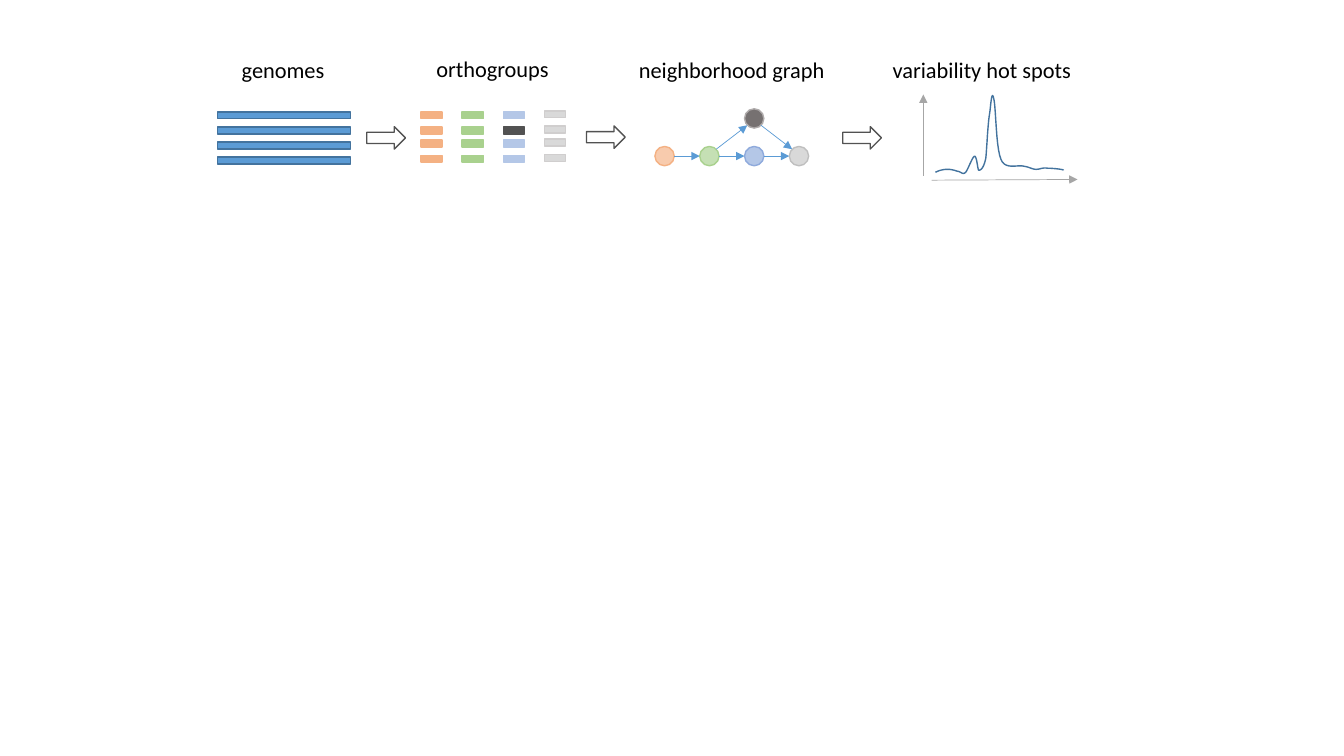
import pptx
import pptx.util
import pptx.dml.color
import pptx.enum.shapes
import pptx.enum.text
import pptx.oxml
import pptx.oxml.ns

Pt = pptx.util.Pt
Shape = pptx.enum.shapes.MSO_SHAPE

COLORS = {
    "text": "000000", "white": "FFFFFF", "dark": "525252",
    "blue": "5B9BD5", "navy": "43739E", "axis": "A6A6A6",
    "orange": "F4B183", "green": "A9D18E", "periwinkle": "B4C7E7",
    "gray": "D9D9D9", "gray_line": "D0CECE",
    "orange_light": "F8CBAD", "green_light": "C5E0B4",
    "periwinkle_line": "8FAADC", "gray_edge": "BFBFBF",
    "charcoal": "767171", "charcoal_line": "AFABAB",
}

HOT_SPOT_START = (668.2, 123.1)
HOT_SPOT_CURVES = [
    ((671, 121.7), (673.9, 121), (676.8, 121)),
    ((679.7, 121), (681.8, 121.7), (684, 122.4)),
    ((686.2, 122.4), (687.6, 125.3), (689.8, 123.1)),
    ((691.2, 121.7), (694.8, 111.6), (696.2, 111.6)),
    ((697.7, 111.6), (698.4, 121), (699.1, 121.7)),
    ((700.6, 121.7), (702.7, 120.2), (704.2, 113)),
    ((704.9, 106.6), (705.6, 87.8), (707, 80.6)),
    ((707.8, 74.2), (708.5, 63.5), (709.9, 70.6)),
    ((711.4, 76.3), (711.4, 105.8), (715, 113.8)),
    ((717.8, 121.7), (727.2, 117.4), (731.5, 118.8)),
    ((735.8, 119.5), (737.3, 121), (740.2, 121)),
    ((743, 121), (745.2, 119.5), (748.1, 120.2)),
    ((751.7, 120.2), (760.3, 121), (759.6, 121.7)),
]


def color(name):
    return pptx.dml.color.RGBColor.from_string(COLORS[name])


def curve_points(start, curves, steps=10):
    for first, second, end in curves:
        for step in range(1, steps + 1):
            t = step / steps
            weights = ((1 - t) ** 3, 3 * t * (1 - t) ** 2, 3 * t * t * (1 - t), t ** 3)
            corners = (start, first, second, end)
            yield tuple(sum(w * corner[axis] for w, corner in zip(weights, corners))
                        for axis in (0, 1))
        start = end


class Diagram:
    font = "Calibri"
    font_size = 16

    def __init__(self, slide):
        self.slide = slide
        self.shapes = slide.shapes

    def start_group(self):
        self.shapes = self.slide.shapes.add_group_shape().shapes

    def end_group(self):
        self.shapes = self.slide.shapes

    def label(self, text, left, top, width, wrap=False):
        box = self.shapes.add_textbox(Pt(left), Pt(top), Pt(width), Pt(26.6))
        frame = box.text_frame
        frame.text = text
        frame.word_wrap = wrap
        frame.auto_size = pptx.enum.text.MSO_AUTO_SIZE.SHAPE_TO_FIT_TEXT
        paragraph = frame.paragraphs[0]
        if wrap:
            paragraph.alignment = pptx.enum.text.PP_ALIGN.CENTER
        font = paragraph.runs[0].font
        font.name = self.font
        font.size = Pt(self.font_size)
        font.color.rgb = color("text")

    def shape(self, kind, left, top, width, height, fill, line):
        shape = self.shapes.add_shape(kind, Pt(left), Pt(top), Pt(width), Pt(height))
        shape.shadow.inherit = False
        shape.fill.solid()
        shape.fill.fore_color.rgb = color(fill)
        shape.line.color.rgb = color(line)
        shape.line.width = Pt(1)

    def step_arrow(self, left, top):
        self.shape(Shape.RIGHT_ARROW, left, top, 27.6, 16, "white", "dark")

    def node(self, center, radius, fill, line):
        x, y = center
        self.shape(Shape.OVAL, x - radius, y - radius, 2 * radius, 2 * radius, fill, line)

    def arrow(self, begin, end, line):
        connector = self.shapes.add_connector(
            pptx.enum.shapes.MSO_CONNECTOR.STRAIGHT, *map(Pt, begin + end))
        connector.line.color.rgb = color(line)
        connector.line.width = Pt(0.5)
        namespace = pptx.oxml.ns.nsdecls("a")
        connector.line._get_or_add_ln().append(
            pptx.oxml.parse_xml(f'<a:tailEnd {namespace} type="triangle"/>'))
        connector._element.spPr.append(pptx.oxml.parse_xml(f"<a:effectLst {namespace}/>"))

    def curve(self, start, curves, line):
        builder = self.shapes.build_freeform(Pt(start[0]), Pt(start[1]))
        builder.add_line_segments(
            [(Pt(x), Pt(y)) for x, y in curve_points(start, curves)], close=False)
        shape = builder.convert_to_shape()
        shape.shadow.inherit = False
        shape.fill.background()
        shape.line.color.rgb = color(line)
        shape.line.width = Pt(1)


def draw_genomes(diagram):
    for row in range(4):
        diagram.shape(Shape.RECTANGLE, 155.5, 79.9 + 10.75 * row, 95, 5, "blue", "navy")
    diagram.label("genomes", 165.6, 36.7, 74.2)


def draw_orthogroups(diagram):
    diagram.label("orthogroups", 304.6, 36, 95.8)
    columns = [("orange", "orange", 0), ("green", "green", 0),
               ("periwinkle", "periwinkle", 0), ("gray", "gray_line", -0.7)]
    for row, top in enumerate((79.9, 90.7, 100.1, 110.9)):
        for column, (fill, line, shift) in enumerate(columns):
            if (row, column) == (1, 2):
                fill = line = "dark"
            diagram.shape(Shape.RECTANGLE, 300.7 + 29.4 * column, top + shift,
                          15.2, 5, fill, line)


def draw_neighborhood_graph(diagram):
    diagram.label("neighborhood graph", 419, 36.7, 207.4, wrap=True)
    diagram.start_group()
    radius, diagonal = 6.9, 4.9
    centers = [(474.7 + 32 * index, 111.5) for index in range(4)]
    variant = (centers[2][0], 84.6)
    styles = [("orange_light", "orange"), ("green_light", "green"),
              ("periwinkle", "periwinkle_line"), ("gray", "gray_edge"),
              ("charcoal", "charcoal_line")]
    for center, (fill, line) in zip(centers + [variant], styles):
        diagram.node(center, radius, fill, line)
    for (left, y), (right, _) in zip(centers, centers[1:]):
        diagram.arrow((left + radius, y), (right - radius, y), "blue")
    for (left, upper), (right, lower), rise in ((centers[1], variant, -diagonal),
                                                (variant, centers[3], diagonal)):
        diagram.arrow((left + diagonal, upper + rise), (right - diagonal, lower - rise), "blue")
    diagram.end_group()


def draw_hot_spots(diagram):
    diagram.label("variability hot spots", 597.6, 36.7, 207.4, wrap=True)
    diagram.start_group()
    diagram.arrow((659.5, 125.5), (659.5, 67.5), "axis")
    diagram.arrow((665.5, 128.7), (769.7, 128.2), "axis")
    diagram.curve(HOT_SPOT_START, HOT_SPOT_CURVES, "navy")
    diagram.end_group()


def main():
    presentation = pptx.Presentation()
    presentation.slide_width = Pt(960)
    presentation.slide_height = Pt(540)
    slide = presentation.slides.add_slide(presentation.slide_layouts[6])
    diagram = Diagram(slide)
    draw_genomes(diagram)
    diagram.step_arrow(262, 90.5)
    draw_orthogroups(diagram)
    diagram.step_arrow(419, 90)
    draw_neighborhood_graph(diagram)
    diagram.step_arrow(602, 90.5)
    draw_hot_spots(diagram)
    presentation.save("out.pptx")


if __name__ == "__main__":
    main()
